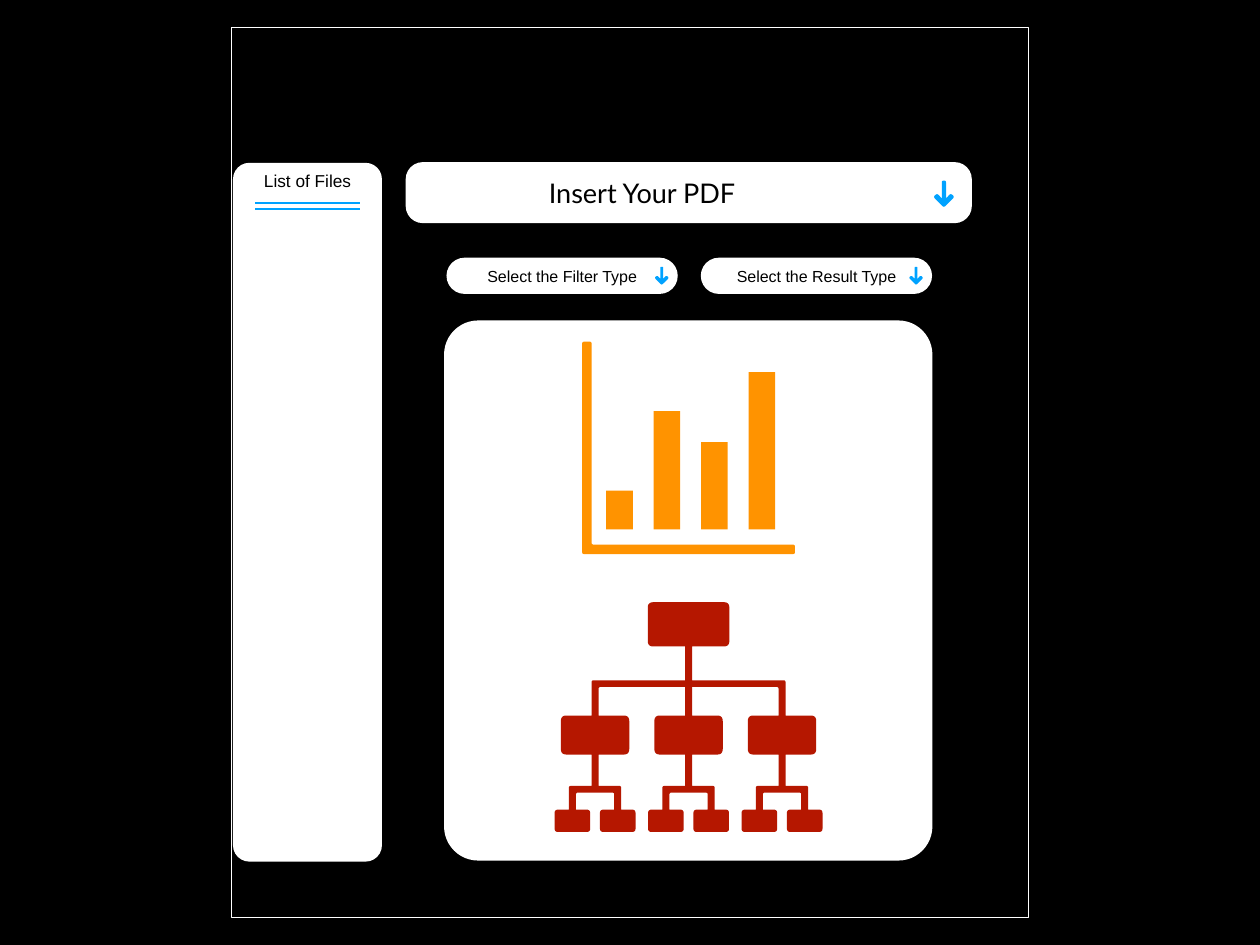
from dataclasses import dataclass
from math import hypot

from lxml import etree
from pptx import Presentation
from pptx import util as u
from pptx.dml import color
from pptx.enum import shapes, text
from pptx.oxml import ns


@dataclass(frozen=True)
class Theme:
    """Colours, fonts and type sizes of the slide."""
    backdrop: str = "000000"
    panel: str = "FFFFFF"
    ink: str = "000000"
    accent: str = "00A2FF"
    chart: str = "FF9300"
    tree: str = "B51700"
    body_font: str = "Arial"
    title_font: str = "Lato"
    title_size: int = 22
    list_size: int = 14
    pill_size: int = 13


@dataclass(frozen=True)
class Level:
    """One level of the tree: its boxes and the bar to its children."""
    width: float
    top: float
    height: float
    radius: float
    bar_top: float = 0
    bar_bottom: float = 0
    offsets: tuple = ()


STEM = 0.1
BEND = 0.06
LEVELS = (
    Level(2.34, 17.27, 1.27, 0.16, 19.51, 19.7, (-2.68, 0, 2.68)),
    Level(1.96, 20.52, 1.12, 0.16, 22.54, 22.73, (-0.65, 0.65)),
    Level(1.02, 23.22, 0.64, 0.1),
)


def rgb(value):
    """Return the colour for a hex string."""
    return color.RGBColor.from_string(value)


def write(frame, words, *, font, size, ink, wrap=True):
    """Put centred text into a text frame."""
    frame.word_wrap = wrap
    frame.vertical_anchor = text.MSO_ANCHOR.MIDDLE
    frame.margin_left = frame.margin_right = u.Cm(0.15)
    frame.margin_top = frame.margin_bottom = u.Cm(0.15)
    line = frame.paragraphs[0]
    line.alignment = text.PP_ALIGN.CENTER
    run = line.add_run()
    run.text = words
    run.font.name = font
    run.font.size = u.Pt(size)
    run.font.color.rgb = rgb(ink)


def rounded(corners, steps=6):
    """Turn (x, y, radius) corners into an outline with soft corners."""
    outline = []
    for i, (x, y, radius) in enumerate(corners):
        if not radius:
            outline.append((x, y))
            continue
        ends = []
        for nx, ny, _ in (corners[i - 1], corners[(i + 1) % len(corners)]):
            share = radius / hypot(nx - x, ny - y)
            ends.append((x + (nx - x) * share, y + (ny - y) * share))
        (ax, ay), (bx, by) = ends
        for step in range(steps + 1):
            t = step / steps
            a, m, b = (1 - t) ** 2, 2 * t * (1 - t), t ** 2
            outline.append((a * ax + m * x + b * bx, a * ay + m * y + b * by))
    return outline


def branch(x, depth=0):
    """Return the corners around a box and everything below it."""
    level = LEVELS[depth]
    left, right = x - level.width / 2, x + level.width / 2
    bottom = level.top + level.height
    before = [(left, level.top, level.radius), (left, bottom, level.radius)]
    after = [(right, bottom, level.radius), (right, level.top, level.radius)]
    if depth:
        before.insert(0, (x - STEM, level.top, 0))
        after.append((x + STEM, level.top, 0))
    if not level.offsets:
        return before + after
    first, last = level.offsets[0], level.offsets[-1]
    before += [(x - STEM, bottom, 0), (x - STEM, level.bar_top, 0)]
    for offset in level.offsets:
        child = x + offset
        if offset == first:
            before.append((child - STEM, level.bar_top, BEND))
        else:
            before.append((child - STEM, level.bar_bottom, BEND if offset == last else 0))
        before += branch(child, depth + 1)
        if offset == last:
            before.append((child + STEM, level.bar_top, BEND))
        else:
            before.append((child + STEM, level.bar_bottom, BEND if offset == first else 0))
    before += [(x + STEM, level.bar_top, 0), (x + STEM, bottom, 0)]
    return before + after


class Board:
    """Draws elements on the current slide in the theme's style."""

    def __init__(self, slide, theme):
        self.slide, self.theme = slide, theme
        slide.background.fill.solid()
        slide.background.fill.fore_color.rgb = rgb(theme.backdrop)

    def paint(self, shape, fill=None, line=None):
        """Set fill and line and drop the shadow."""
        shape.shadow.inherit = False
        if fill:
            shape.fill.solid()
            shape.fill.fore_color.rgb = rgb(fill)
        else:
            shape.fill.background()
        if line:
            shape.line.color.rgb = rgb(line)
            shape.line.width = u.Pt(1)
        else:
            shape.line.fill.background()

    def box(self, place, rounding=None, fill=None, line=None):
        """Add a rectangle, rounded if a rounding is given."""
        kinds = shapes.MSO_SHAPE
        kind = kinds.RECTANGLE if rounding is None else kinds.ROUNDED_RECTANGLE
        shape = self.slide.shapes.add_shape(kind, *map(u.Cm, place))
        if rounding is not None:
            shape.adjustments[0] = rounding
        self.paint(shape, fill, line)
        return shape

    def label(self, place, words, size, fill=None):
        """Add a pill with text."""
        pill = self.box(place, 0.5, fill)
        write(pill.text_frame, words, font=self.theme.body_font, size=size, ink=self.theme.ink)

    def title(self, place, words):
        """Add the title text."""
        frame = self.slide.shapes.add_textbox(*map(u.Cm, place)).text_frame
        write(frame, words, font=self.theme.title_font, size=self.theme.title_size,
              ink=self.theme.ink, wrap=False)

    def outline(self, contours, fill):
        """Add one freeform made of closed contours."""
        loops = [[(u.Cm(x), u.Cm(y)) for x, y in contour] for contour in contours]
        builder = self.slide.shapes.build_freeform(*loops[0][0])
        builder.add_line_segments(loops[0][1:], close=True)
        for loop in loops[1:]:
            builder.move_to(*loop[0])
            builder.add_line_segments(loop[1:], close=True)
        self.paint(builder.convert_to_shape(), fill)

    def arrow(self, x, top, scale=1.0):
        """Add a down arrow centred on x."""
        half = [(-0.06, 0, 0.05), (-0.06, 0.51, 0), (-0.19, 0.37, 0.06), (-0.31, 0.46, 0.08)]
        mirrored = [(-dx, dy, radius) for dx, dy, radius in reversed(half)]
        corners = [(x + dx * scale, top + dy * scale, radius * scale)
                   for dx, dy, radius in half + [(0, 0.77, 0.06)] + mirrored]
        self.outline([rounded(corners)], self.theme.accent)

    def rule(self, left, right, y):
        """Add a horizontal line."""
        line = self.slide.shapes.add_connector(
            shapes.MSO_CONNECTOR.STRAIGHT, *map(u.Cm, (left, y, right, y)))
        line.line.color.rgb = rgb(self.theme.accent)
        line.line.width = u.Pt(2)
        etree.SubElement(line._element.spPr, ns.qn("a:effectLst"))

    def bar_icon(self, left, top, right, bottom):
        """Add a bar chart icon with its axes."""
        thick, soft, width, base = 0.27, 0.06, 0.76, bottom - 0.71
        axes = [(left, top, soft), (left, bottom, soft), (right, bottom, soft),
                (right, bottom - thick, soft), (left + thick, bottom - thick, soft),
                (left + thick, top, soft)]
        contours = [rounded(axes)]
        for i, height in enumerate((1.11, 3.39, 2.5, 4.51)):
            x = left + 0.69 + i * 1.36
            contours.append([(x, base), (x, base - height),
                             (x + width, base - height), (x + width, base)])
        self.outline(contours, self.theme.chart)


def main():
    """Build the slide and save it."""
    deck = Presentation()
    deck.slide_width, deck.slide_height = u.Cm(36.12), u.Cm(27.1)
    theme = Theme()
    board = Board(deck.slides.add_slide(deck.slide_layouts[6]), theme)
    board.box((6.63, 0.78, 22.86, 25.53), line=theme.panel)
    pills = ((12.8, "Select the Filter Type"), (20.09, "Select the Result Type"))
    for left, words in pills:
        board.label((left, 7.39, 6.63, 1.04), words, theme.pill_size, theme.panel)
    board.box((11.63, 4.65, 16.23, 1.75), 0.28, theme.panel)
    board.title((15.32, 4.85, 6.17, 1.37), "Insert Your PDF")
    board.box((12.73, 9.19, 14, 15.49), 0.07, theme.panel)
    board.box((6.68, 4.67, 4.27, 20.04), 0.11, theme.panel)
    board.label((6.71, 4.65, 4.22, 1.04), "List of Files", theme.list_size)
    board.outline([rounded(branch(19.74))], theme.tree)
    board.bar_icon(16.69, 9.8, 22.79, 15.89)
    board.arrow(27.06, 5.18)
    for left, _ in pills:
        board.arrow(left + 6.17, 7.65, 0.68)
    for y in (5.82, 5.99):
        board.rule(7.32, 10.31, y)
    deck.save("out.pptx")


if __name__ == "__main__":
    main()
